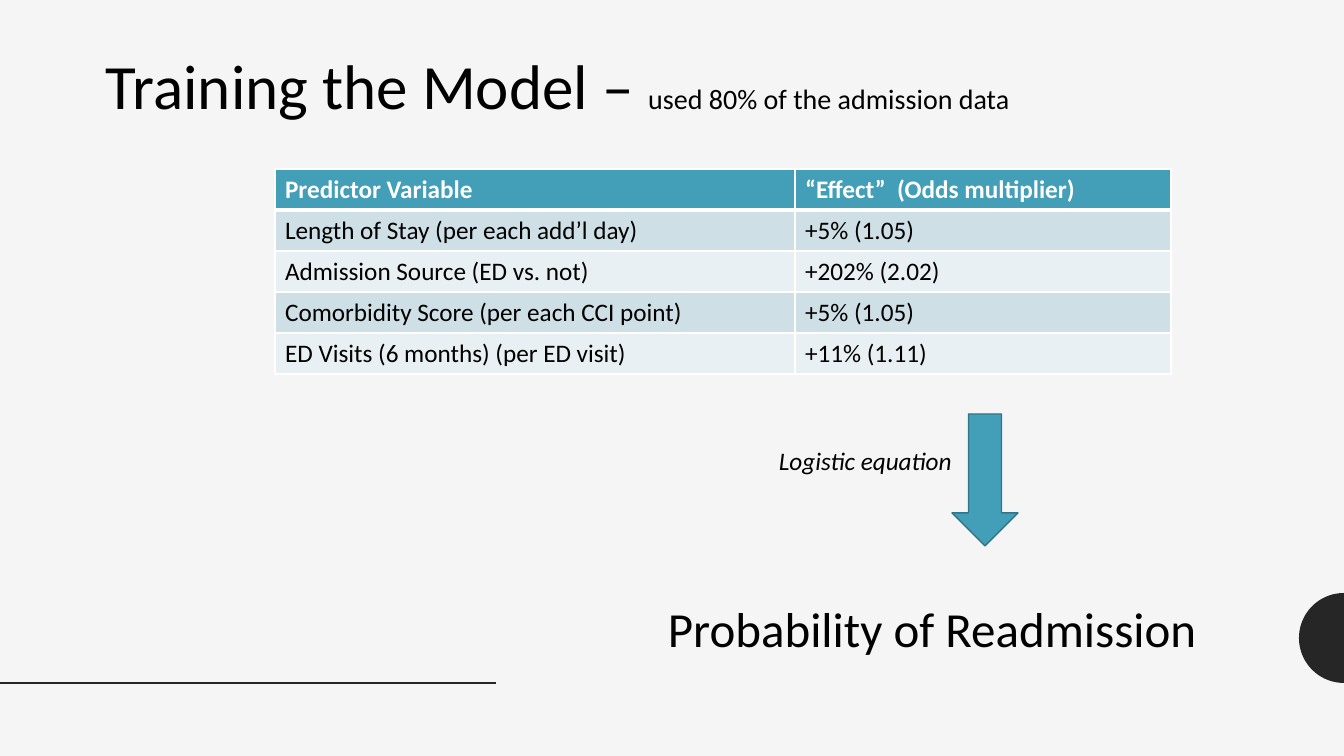
"""Build the model training slide with its predictor table."""
import math
from dataclasses import dataclass

from lxml import etree
from pptx import Presentation
from pptx import util as u
from pptx.dml.color import RGBColor
from pptx.enum import shapes, text
from pptx.oxml import ns

SLIDE_W, SLIDE_H = 1344, 756
EMU_PER_PX = 12192000 / SLIDE_W

PREDICTORS = [
    ("Predictor Variable", "“Effect”  (Odds multiplier)"),
    ("Length of Stay (per each add’l day)", "+5% (1.05)"),
    ("Admission Source (ED vs. not)", "+202% (2.02)"),
    ("Comorbidity Score (per each CCI point)", "+5% (1.05)"),
    ("ED Visits (6 months) (per ED visit)", "+11% (1.11)"),
]


@dataclass(frozen=True)
class Theme:
    """Colours, font and type sizes of the slide."""
    background: str = "F5F5F5"
    ink: str = "000000"
    dark: str = "262626"
    white: str = "FFFFFF"
    accent: str = "439EB7"
    accent_edge: str = "327587"
    bands: tuple = ("E9F0F3", "CFDFE6")
    font: str = "Calibri"
    title: int = 45
    outcome: int = 35
    subtitle: int = 20
    body: int = 18


THEME = Theme()


def px(length):
    """Turn px into EMU."""
    return u.Emu(round(length * EMU_PER_PX))


def paint(fill, colour):
    """Give a fill one solid colour."""
    fill.solid()
    fill.fore_color.rgb = RGBColor.from_string(colour)


def style_run(run, size, colour=THEME.ink, bold=False, italic=False):
    """Set the font of a run."""
    run.font.name = THEME.font
    run.font.size = u.Pt(size)
    run.font.bold = bold
    run.font.italic = italic
    run.font.color.rgb = RGBColor.from_string(colour)


def add_label(slide, left, top, width, height, parts, wrap=False, italic=False):
    """Add a one-paragraph text box made of (wording, size) parts."""
    label = slide.shapes.add_textbox(px(left), px(top), px(width), px(height))
    frame = label.text_frame
    frame.word_wrap = wrap
    frame.auto_size = text.MSO_AUTO_SIZE.SHAPE_TO_FIT_TEXT
    for wording, size in parts:
        run = frame.paragraphs[0].add_run()
        run.text = wording
        style_run(run, size, italic=italic)


def add_half_disc(slide, centre_x, centre_y, radius):
    """Add the left half of a disc."""
    rim = []
    for degrees in range(90, 271, 5):
        angle = math.radians(degrees)
        rim.append((px(centre_x + radius * math.cos(angle)),
                    px(centre_y + radius * math.sin(angle))))
    outline = slide.shapes.build_freeform(*rim[0], scale=1.0)
    outline.add_line_segments(rim[1:], close=True)
    half_disc = outline.convert_to_shape()
    half_disc.shadow.inherit = False
    paint(half_disc.fill, THEME.dark)
    half_disc.line.fill.background()


def add_rule(slide, left, right, y):
    """Add a horizontal rule."""
    rule = slide.shapes.add_connector(
        shapes.MSO_CONNECTOR.STRAIGHT, px(left), px(y), px(right), px(y))
    paint(rule.line.fill, THEME.dark)
    rule.line.width = u.Pt(2)
    etree.SubElement(rule._element.spPr, ns.qn("a:effectLst"))


def add_down_arrow(slide, left, top, width, height):
    """Add the arrow that leads to the outcome."""
    arrow = slide.shapes.add_shape(
        shapes.MSO_SHAPE.DOWN_ARROW, px(left), px(top), px(width), px(height))
    arrow.shadow.inherit = False
    paint(arrow.fill, THEME.accent)
    paint(arrow.line.fill, THEME.accent_edge)
    arrow.line.width = u.Pt(1)


def set_borders(cell, top, bottom):
    """Draw white cell borders with the given top and bottom points."""
    properties = cell._tc.get_or_add_tcPr()
    sides = {"lnL": 1, "lnR": 1, "lnT": top, "lnB": bottom}
    for place, (side, points) in enumerate(sides.items()):
        border = etree.Element(ns.qn(f"a:{side}"), w=str(u.Pt(points)))
        fill = etree.SubElement(border, ns.qn("a:solidFill"))
        etree.SubElement(fill, ns.qn("a:srgbClr"), val=THEME.white)
        properties.insert(place, border)


def add_predictor_table(slide, left, top, column_widths, row_height):
    """Add the predictor table with a header and banded rows."""
    table = slide.shapes.add_table(
        len(PREDICTORS), len(column_widths), px(left), px(top),
        px(sum(column_widths)), px(row_height * len(PREDICTORS))).table
    for column, width in zip(table.columns, column_widths):
        column.width = px(width)
    for row_no, predictor in enumerate(PREDICTORS):
        table.rows[row_no].height = px(row_height)
        header = row_no == 0
        for column_no, wording in enumerate(predictor):
            cell = table.cell(row_no, column_no)
            cell.text_frame.text = wording
            style_run(cell.text_frame.paragraphs[0].runs[0], THEME.body,
                      THEME.white if header else THEME.ink, bold=header)
            paint(cell.fill, THEME.accent if header else THEME.bands[row_no % 2])
            set_borders(cell, top=3 if row_no == 1 else 1,
                        bottom=3 if header else 1)


def main():
    """Build and save the slide."""
    deck = Presentation()
    deck.slide_width, deck.slide_height = px(SLIDE_W), px(SLIDE_H)
    slide = deck.slides.add_slide(deck.slide_layouts[6])
    paint(slide.background.fill, THEME.background)

    add_half_disc(slide, SLIDE_W, 638, 45)
    add_rule(slide, 0, 496, 683)
    add_predictor_table(slide, 275, 169, (520, 376), 41)
    add_down_arrow(slide, 952, 414, 66, 132)
    add_label(slide, 769, 440, 194, 40,
              [("Logistic equation", THEME.body)], italic=True)
    add_label(slide, 658, 594, 576, 70,
              [("Probability of Readmission", THEME.outcome)])
    add_label(slide, 96, 42, 1111, 87,
              [("Training the Model – ", THEME.title),
               ("used 80% of the admission data", THEME.subtitle)], wrap=True)
    deck.save("out.pptx")


if __name__ == "__main__":
    main()
